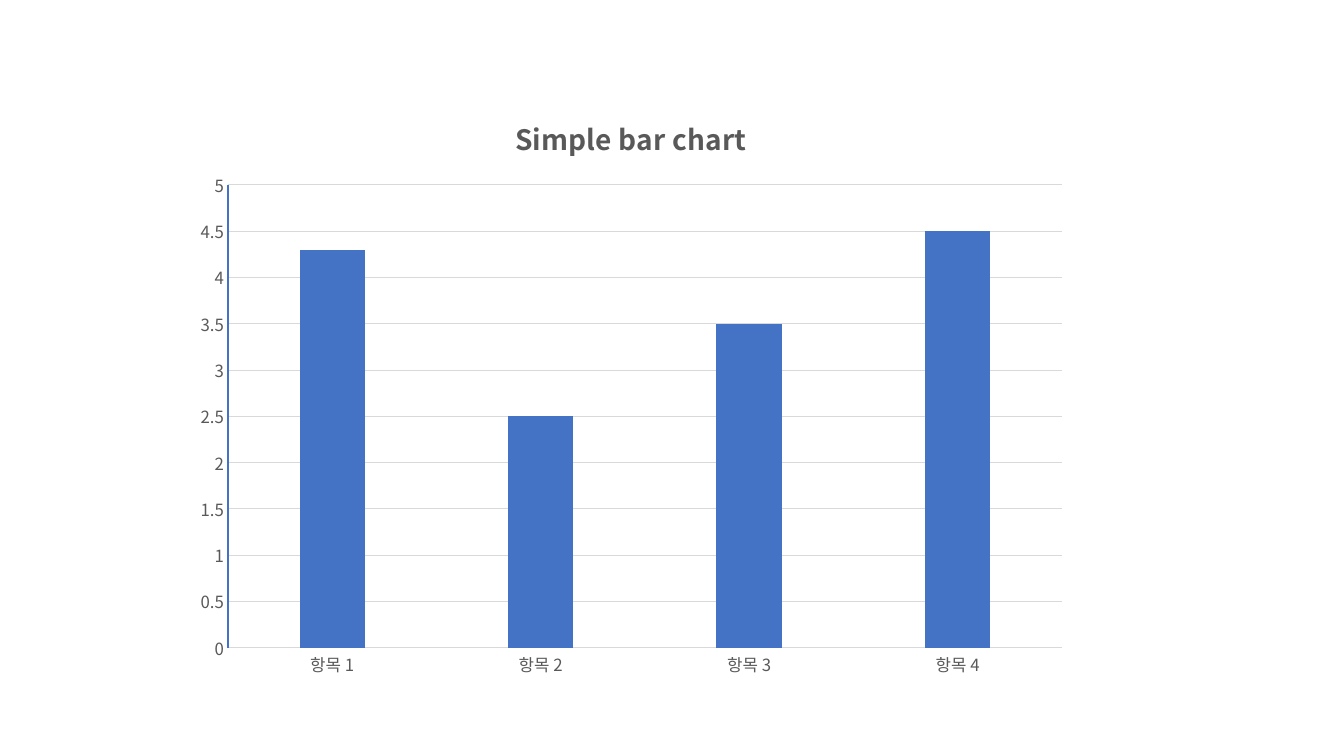
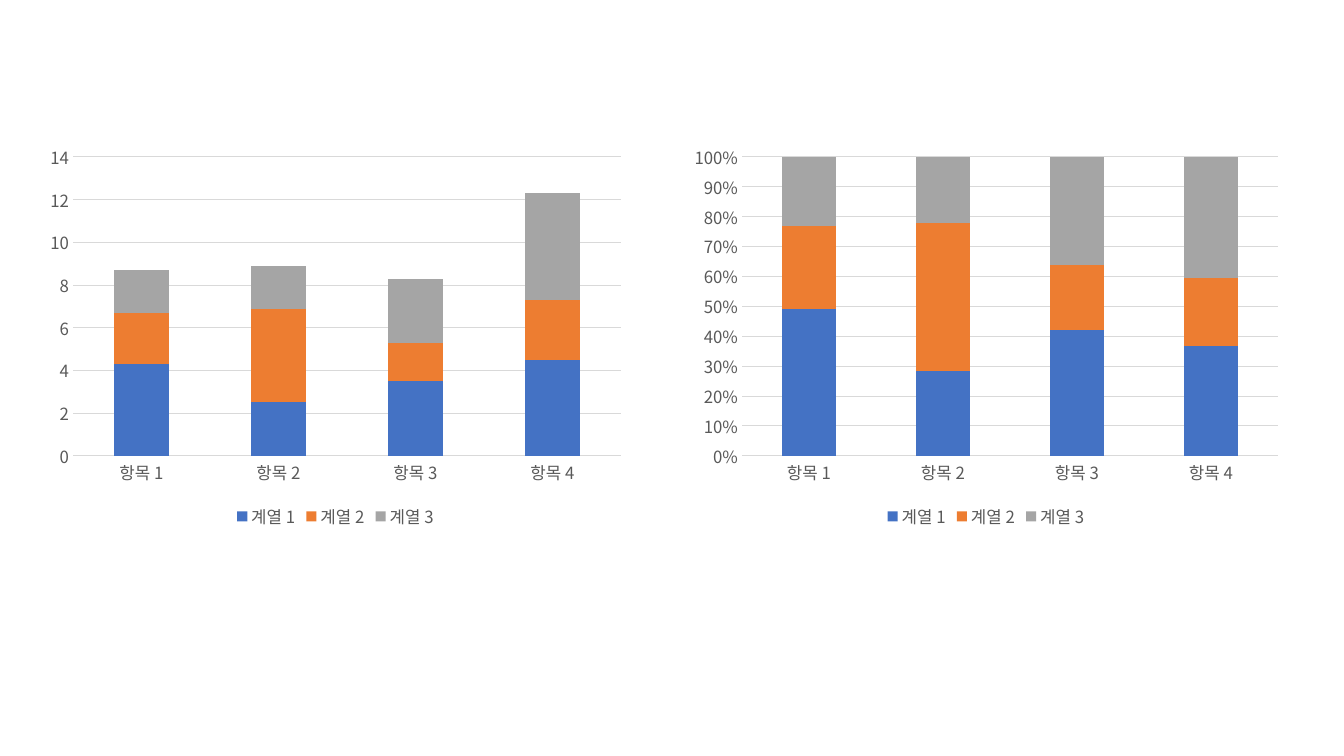
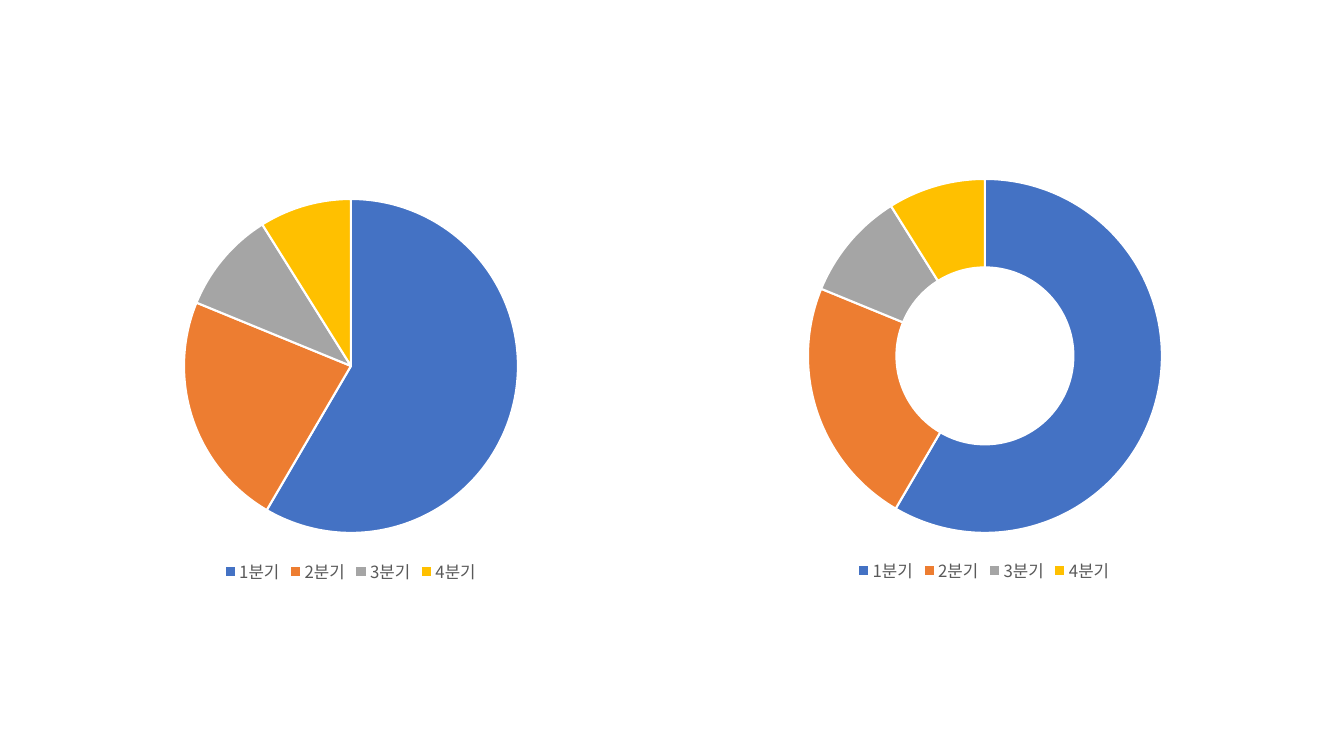
from dataclasses import dataclass

from lxml.etree import SubElement
from pptx import Presentation
from pptx.chart.data import CategoryChartData
from pptx.dml.color import RGBColor
from pptx.enum.chart import XL_CHART_TYPE as ChartType
from pptx.enum.chart import XL_LEGEND_POSITION as LegendPosition
from pptx.enum.chart import XL_TICK_MARK as TickMark
from pptx.oxml.ns import qn
from pptx.util import Pt

PX = 914400 / 100.8  # EMU per pixel


@dataclass(frozen=True)
class Theme:
    """Colours, font and type sizes shared by all slides."""
    font: str = "Noto Sans CJK KR"
    text: RGBColor = RGBColor(0x59, 0x59, 0x59)
    grid: RGBColor = RGBColor(0xD9, 0xD9, 0xD9)
    white: RGBColor = RGBColor(0xFF, 0xFF, 0xFF)
    accents: tuple = tuple(map(RGBColor.from_string, ("4472C4", "ED7D31", "A5A5A5", "FFC000")))
    label_size: Pt = Pt(12)
    title_size: Pt = Pt(20)
    hairline: Pt = Pt(0.75)
    slice_gap: Pt = Pt(1.5)


THEME = Theme()


def add_chart(slide, kind, frame, plot, categories, series, legend=True):
    """Add a themed chart; frame and plot are left, top, width, height in pixels."""
    data = CategoryChartData()
    data.categories = categories
    for name, values in series.items():
        data.add_series(name, values)
    chart = slide.shapes.add_chart(kind, *(round(v * PX) for v in frame), data).chart
    chart.has_title = False
    chart.font.name = THEME.font
    chart.font.size = THEME.label_size
    chart.font.color.rgb = THEME.text
    for text_style in chart.element.iter(qn("a:defRPr")) if hasattr(chart, "element") else ():
        SubElement(text_style, qn("a:ea"), typeface=THEME.font)
    chart.has_legend = legend
    if legend:
        chart.legend.position = LegendPosition.BOTTOM
        chart.legend.include_in_layout = False

    left, top, width, height = frame
    plot_left, plot_top, plot_width, plot_height = plot
    plot_area = chart.plots[0]._element.getparent()
    for old_layout in plot_area.findall(qn("c:layout")):
        plot_area.remove(old_layout)
    layout = SubElement(plot_area, qn("c:layout"))
    plot_area.insert(0, layout)
    manual = SubElement(layout, qn("c:manualLayout"))
    for tag, value in (
        ("layoutTarget", "inner"), ("xMode", "edge"), ("yMode", "edge"),
        ("x", (plot_left - left) / width), ("y", (plot_top - top) / height),
        ("w", plot_width / width), ("h", plot_height / height),
    ):
        SubElement(manual, qn(f"c:{tag}"), val=str(value))
    return chart


def style_columns(chart, gap, overlap):
    """Colour the series and format both axes of a column chart."""
    columns = chart.plots[0]
    columns.vary_by_categories = False
    columns.gap_width = gap
    columns.overlap = overlap
    for series, colour in zip(columns.series, THEME.accents):
        series.format.fill.solid()
        series.format.fill.fore_color.rgb = colour
        series.invert_if_negative = False
    for axis in (chart.category_axis, chart.value_axis):
        axis.major_tick_mark = axis.minor_tick_mark = TickMark.NONE
    chart.value_axis.has_major_gridlines = True
    chart.value_axis.format.line.fill.background()
    for line in (chart.category_axis.format.line, chart.value_axis.major_gridlines.format.line):
        line.color.rgb = THEME.grid
        line.width = THEME.hairline


deck = Presentation()
deck.slide_width, deck.slide_height = round(1344 * PX), round(756 * PX)
blank = deck.slide_layouts[6]
items = [f"항목 {n}" for n in range(1, 5)]
quarters = [f"{n}분기" for n in range(1, 5)]

# Simple bar chart
slide = deck.slides.add_slide(blank)
simple = add_chart(slide, ChartType.COLUMN_CLUSTERED, (183, 92, 896, 598),
                   (228, 185, 834, 463), items, {"Series 1": (4.3, 2.5, 3.5, 4.5)}, legend=False)
style_columns(simple, 219, -45)
value_axis = simple.value_axis
value_axis.minimum_scale, value_axis.maximum_scale, value_axis.major_unit = 0, 5, 0.5
value_axis.format.line.color.rgb = THEME.accents[0]
value_axis.format.line.width = THEME.hairline
heading = simple.chart_title.text_frame.paragraphs[0]
heading.text = "Simple bar chart"
heading_font = heading.runs[0].font
heading_font.name, heading_font.size, heading_font.bold = THEME.font, THEME.title_size, True
heading_font.color.rgb = THEME.text

# Stacked amounts and shares
slide = deck.slides.add_slide(blank)
amounts = ((4.3, 2.5, 3.5, 4.5), (2.4, 4.4, 1.8, 2.8), (2, 2, 3, 5))
shares = ((49, 28, 42, 37), (28, 49, 22, 23), (23, 22, 36, 41))
for kind, frame, plot, rows, number_format in (
    (ChartType.COLUMN_STACKED, (38, 137, 595, 396), (73, 157, 548, 299), amounts, "General"),
    (ChartType.COLUMN_STACKED_100, (682, 137, 608, 396), (742, 157, 536, 299), shares, "0%"),
):
    series = {f"계열 {n}": row for n, row in enumerate(rows, 1)}
    stacked = add_chart(slide, kind, frame, plot, items, series)
    style_columns(stacked, 150, 100)
    stacked.value_axis.tick_labels.number_format = number_format
    stacked.value_axis.tick_labels.number_format_is_linked = False

# Quarters as pie and doughnut
slide = deck.slides.add_slide(blank)
for kind, frame, plot in (
    (ChartType.PIE, (39, 184, 623, 404), (184, 199, 334, 334)),
    (ChartType.DOUGHNUT, (662, 163, 644, 424), (808, 179, 354, 354)),
):
    ring = add_chart(slide, kind, frame, plot, quarters, {"Series 1": (59, 23, 10, 9)}).plots[0]
    ring.vary_by_categories = True
    for index, colour in enumerate(THEME.accents):
        wedge = ring.series[0].points[index].format
        wedge.fill.solid()
        wedge.fill.fore_color.rgb = colour
        wedge.line.color.rgb = THEME.white
        wedge.line.width = THEME.slice_gap
    for hole in ring._element.findall(qn("c:holeSize")):
        hole.set("val", "75")

deck.save("out.pptx")
